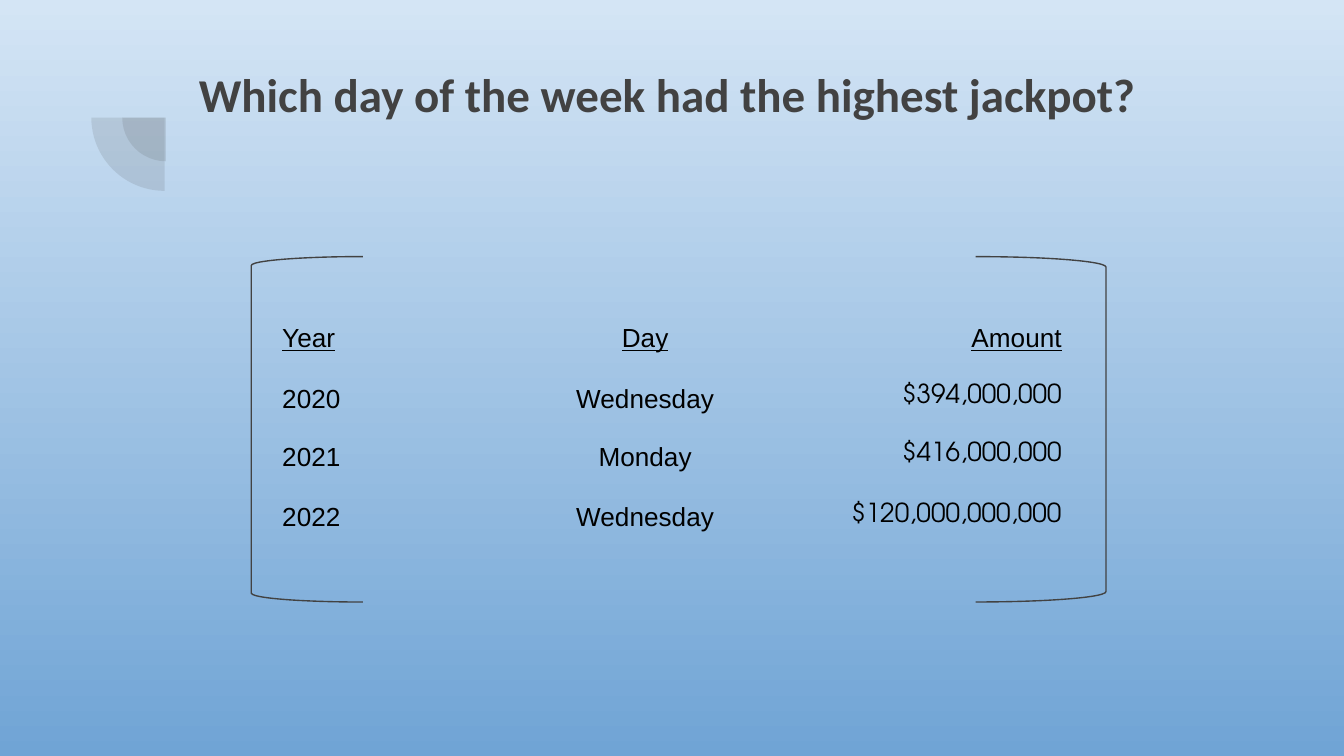
from lxml.etree import SubElement
from pptx import Presentation
from pptx.dml.color import RGBColor
from pptx.enum.shapes import MSO_SHAPE
from pptx.enum.text import MSO_ANCHOR, PP_ALIGN
from pptx.oxml.ns import qn
from pptx.util import Inches, Pt

DARK = "424242"
BLACK = "000000"
NO_STYLE_NO_GRID = "{2D5ABB26-0587-4C30-8999-92F81FD0307C}"
ROWS = [
    ("Year", "Day", "Amount"),
    ("2020", "Wednesday", " $394,000,000"),
    ("2021", "Monday", "$416,000,000"),
    ("2022", "Wednesday", "$120,000,000,000"),
]
COLUMN_WIDTHS = (1.6, 2.4, 2)
ROW_HEIGHTS = (0.45, 0.27, 0.45, 0.45)
ALIGNMENTS = (PP_ALIGN.LEFT, PP_ALIGN.CENTER, PP_ALIGN.RIGHT)


def color(value):
    return RGBColor.from_string(value)


def set_margins(target):
    target.margin_left = target.margin_right = Inches(0.1)
    target.margin_top = target.margin_bottom = Inches(0.1)


def write(text_frame, text, font_name, size, text_color, alignment):
    text_frame.text = text
    paragraph = text_frame.paragraphs[0]
    paragraph.alignment = alignment
    font = paragraph.runs[0].font
    font.name = font_name
    font.size = Pt(size)
    font.color.rgb = color(text_color)
    return font


def paint_background(slide):
    fill = slide.background.fill
    fill.gradient()
    fill.gradient_angle = 270
    for stop, shade in zip(fill.gradient_stops, ("D4E5F5", "70A4D5")):
        stop.color.rgb = color(shade)


def add_quarter(group, left, top, size):
    quarter = group.shapes.add_shape(
        MSO_SHAPE.PIE, Inches(left), Inches(top), Inches(size), Inches(size))
    quarter.adjustments[0] = 108
    quarter.adjustments[1] = 162
    quarter.rotation = 270
    quarter.shadow.inherit = False
    quarter.fill.solid()
    quarter.fill.fore_color.rgb = color(DARK)
    shade = quarter._element.spPr.find(qn("a:solidFill"))[0]
    SubElement(shade, qn("a:alpha"), val="13000")
    quarter.line.fill.background()


def add_title(slide, text):
    title = slide.shapes.add_textbox(
        Inches(1.16), Inches(0.39), Inches(7.69), Inches(1.09))
    frame = title.text_frame
    frame.word_wrap = True
    frame.vertical_anchor = MSO_ANCHOR.TOP
    set_margins(frame)
    write(frame, text, "Calibri", 25.2, DARK, PP_ALIGN.CENTER).bold = True


def add_jackpots(slide):
    frame = slide.shapes.add_table(
        len(ROWS), len(COLUMN_WIDTHS), Inches(2), Inches(2.31),
        Inches(sum(COLUMN_WIDTHS)), Inches(sum(ROW_HEIGHTS)))
    jackpots = frame.table
    jackpots.first_row = jackpots.horz_banding = False
    frame._element.find(".//" + qn("a:tableStyleId")).text = NO_STYLE_NO_GRID
    for column, width in zip(jackpots.columns, COLUMN_WIDTHS):
        column.width = Inches(width)
    for row, height in zip(jackpots.rows, ROW_HEIGHTS):
        row.height = Inches(height)
    for row, values in enumerate(ROWS):
        for column, value in enumerate(values):
            cell = jackpots.cell(row, column)
            cell.fill.background()
            set_margins(cell)
            is_amount = row > 0 and column == 2
            font_name = "TeX Gyre Adventor" if is_amount else "Arial"
            font = write(cell.text_frame, value, font_name, 14, BLACK,
                         ALIGNMENTS[column])
            font.underline = row == 0


def add_bracket(slide, kind, left, width):
    bracket = slide.shapes.add_shape(
        kind, Inches(left), Inches(1.91), Inches(width), Inches(2.57))
    bracket.adjustments[0] = 0.08
    bracket.shadow.inherit = False
    bracket.fill.background()
    bracket.line.color.rgb = color(DARK)
    bracket.line.width = Pt(0.75)


def main():
    presentation = Presentation()
    presentation.slide_width = Inches(10)
    presentation.slide_height = Inches(10 * 9 / 16)
    slide = presentation.slides.add_slide(presentation.slide_layouts[6])
    paint_background(slide)
    ornament = slide.shapes.add_group_shape()
    add_quarter(ornament, 0.91, 0.55, 0.65)
    add_quarter(ornament, 0.68, 0.33, 1.09)
    add_title(slide, "Which day of the week had the highest jackpot? ")
    add_jackpots(slide)
    add_bracket(slide, MSO_SHAPE.LEFT_BRACKET, 1.87, 0.83)
    add_bracket(slide, MSO_SHAPE.RIGHT_BRACKET, 7.26, 0.97)
    presentation.save("out.pptx")


if __name__ == "__main__":
    main()
